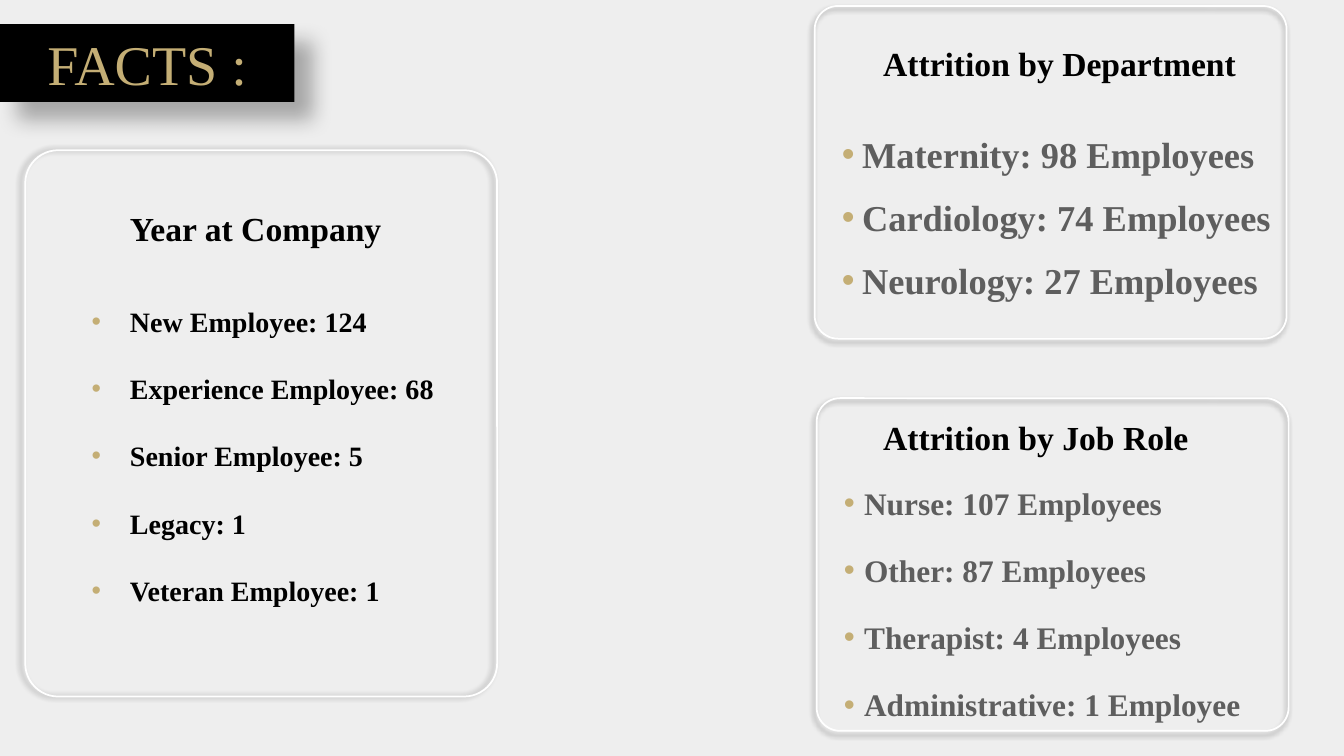
"""Build the attrition facts slide with three framed bullet lists."""
import pptx
import pptx.dml.color
import pptx.enum.shapes
import pptx.enum.text
import pptx.oxml
import pptx.oxml.ns
import pptx.util

BLACK = pptx.dml.color.RGBColor(0x00, 0x00, 0x00)
WHITE = pptx.dml.color.RGBColor(0xFF, 0xFF, 0xFF)
PALE = pptx.dml.color.RGBColor(0xEE, 0xEE, 0xEE)
GREY = pptx.dml.color.RGBColor(0x5E, 0x5E, 0x5E)
GOLD = pptx.dml.color.RGBColor(0xC4, 0xAE, 0x75)
SHAPES = pptx.enum.shapes.MSO_SHAPE
NAMESPACE = pptx.oxml.ns.nsdecls("a")

deck = pptx.Presentation()
deck.slide_width = pptx.util.Inches(13.33)
deck.slide_height = pptx.util.Inches(7.5)
page = deck.slides.add_slide(deck.slide_layouts[6])
page.background.fill.solid()
page.background.fill.fore_color.rgb = PALE


def place(left, top, width, height):
    """Turn percentages of the slide's size into lengths."""
    across, down = deck.slide_width / 100, deck.slide_height / 100
    return [int(left * across), int(top * down), int(width * across), int(height * down)]


def write(para, text, size, color, bold=True):
    """Add one styled run to a paragraph."""
    span = para.add_run()
    span.text = text
    span.font.name = "Times New Roman"
    span.font.size = pptx.util.Pt(size)
    span.font.bold = bold
    span.font.color.rgb = color


title = page.shapes.add_shape(SHAPES.RECTANGLE, *place(0, 3.2, 21.9, 10.27))
title.fill.solid()
title.fill.fore_color.rgb = BLACK
title.line.fill.background()
title_para = title.text_frame.paragraphs[0]
title_para.alignment = pptx.enum.text.PP_ALIGN.CENTER
write(title_para, "FACTS :", 40, GOLD, bold=False)

lists = [
    (place(62.64, 16.8, 33.16, 26.93), 26, GREY, 0, 0.2, 1, 12, 2, 100,
     ["Maternity: 98 Employees", "Cardiology: 74 Employees", "Neurology: 27 Employees"]),
    (place(6.08, 39.6, 34.13, 41.73), 20, BLACK, 0.1, 0.38, 1, 0, 24, 96,
     ["New Employee: 124", "Experience Employee: 68", "Senior Employee: 5",
      "Legacy: 1", "Veteran Employee: 1"]),
    (place(62.79, 61.87, 29.78, 34.8), 22.4, GREY, 0, 0.2, 1.3, 11, 2, 100,
     ["Nurse: 107 Employees", "Other: 87 Employees", "Therapist: 4 Employees",
      "Administrative: 1 Employee"]),
]
for area, size, color, inset, indent, spacing, before, after, bullet_size, items in lists:
    box = page.shapes.add_textbox(*area)
    frame = box.text_frame
    frame.word_wrap = True
    frame.margin_left = frame.margin_right = pptx.util.Inches(inset)
    for index, item in enumerate(items):
        para = frame.add_paragraph() if index else frame.paragraphs[0]
        para.line_spacing = spacing
        para.space_before = pptx.util.Pt(before)
        para.space_after = pptx.util.Pt(after)
        write(para, item, size, color)
        properties = para._p.get_or_add_pPr()
        properties.set("marL", str(pptx.util.Inches(indent)))
        properties.set("indent", str(-pptx.util.Inches(indent)))
        for bullet in (f'<a:buClr {NAMESPACE}><a:srgbClr val="{GOLD}"/></a:buClr>',
                       f'<a:buSzPct {NAMESPACE} val="{bullet_size * 1000}"/>',
                       f'<a:buFont {NAMESPACE} typeface="Arial"/>',
                       f'<a:buChar {NAMESPACE} char="•"/>'):
            properties.append(pptx.oxml.parse_xml(bullet))

headings = [
    ("Year at Company", 8.93, 26.8, 23.71),
    ("Attrition by Department", 64.97, 5.07, 30.83),
    ("Attrition by Job Role", 64.97, 54.53, 26.93),
]
for text, left, top, width in headings:
    box = page.shapes.add_textbox(*place(left, top, width, 6.67))
    box.text_frame.word_wrap = True
    write(box.text_frame.paragraphs[0], text, 24, BLACK)

shadows = [(title, 30, 15, 18, 45)]
frames = [(1.88, 19.87, 72.27, 180), (60.62, 0.8, 44, 135), (60.77, 52.67, 44, 135)]
for left, top, height, direction in frames:
    card = page.shapes.add_shape(SHAPES.ROUNDED_RECTANGLE, *place(left, top, 35.11, height))
    card.adjustments[0] = 0.07
    card.fill.background()
    card.line.color.rgb = WHITE
    card.line.width = pptx.util.Pt(1.25)
    shadows.append((card, 40, 4, 3, direction))

for shape, opacity, blur, distance, direction in shadows:
    shape.shadow.inherit = False
    effects = shape._element.spPr.find(pptx.oxml.ns.qn("a:effectLst"))
    effects.append(pptx.oxml.parse_xml(
        f'<a:outerShdw {NAMESPACE} blurRad="{pptx.util.Pt(blur)}" dist="{pptx.util.Pt(distance)}"'
        f' dir="{direction * 60000}" algn="tl" rotWithShape="0"><a:srgbClr val="{BLACK}">'
        f'<a:alpha val="{opacity * 1000}"/></a:srgbClr></a:outerShdw>'))

deck.save("out.pptx")
